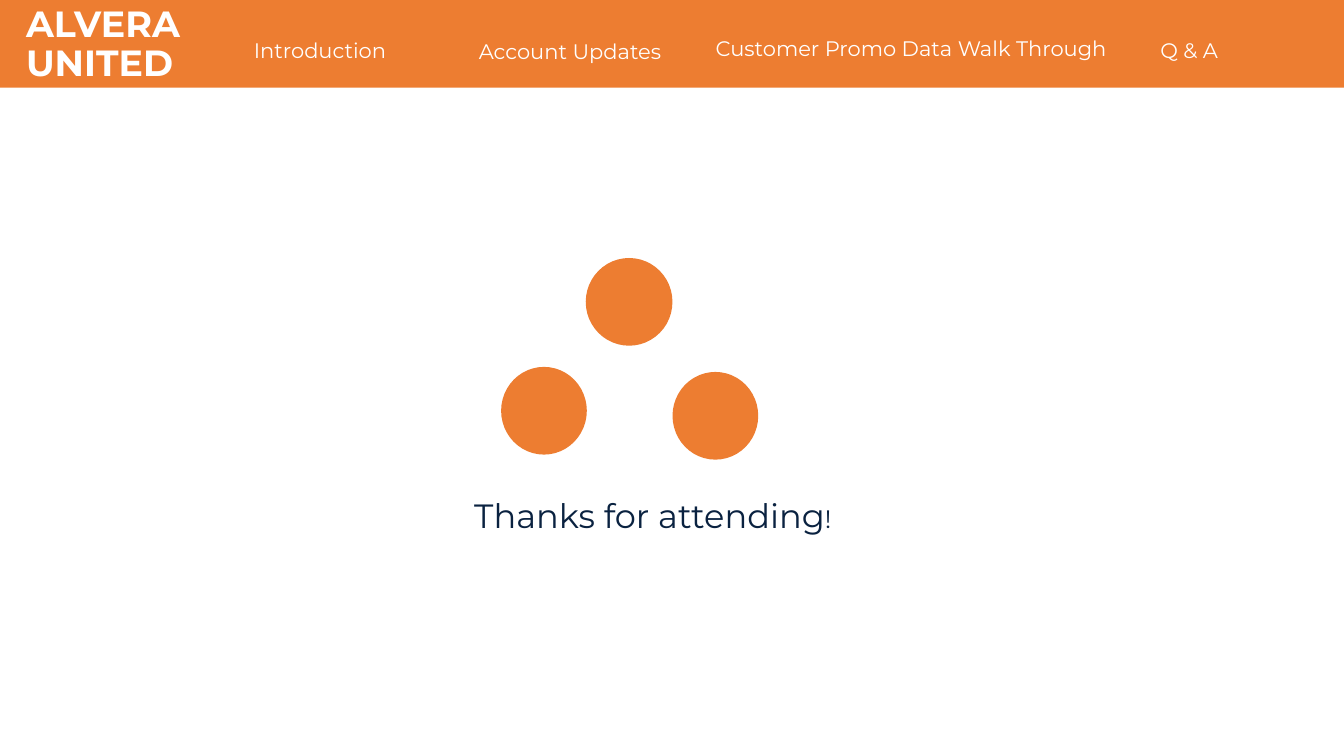
"""Build the closing slide with its navigation banner."""
from dataclasses import dataclass

from pptx import Presentation
from pptx.dml.color import RGBColor
from pptx.enum.shapes import MSO_SHAPE
from pptx.enum.text import PP_ALIGN
from pptx.slide import Slide
from pptx.text.text import _Paragraph
from pptx.util import Inches, Pt


@dataclass(frozen=True)
class Theme:
    """Colours, font and type sizes of the slide."""
    orange: RGBColor = RGBColor(0xED, 0x7D, 0x31)
    white: RGBColor = RGBColor(0xFF, 0xFF, 0xFF)
    navy: RGBColor = RGBColor(0x0A, 0x22, 0x40)
    font: str = "Montserrat"
    nav: Pt = Pt(15)
    brand: Pt = Pt(26)
    thanks: Pt = Pt(24)
    mark: Pt = Pt(18)


@dataclass(frozen=True)
class Box:
    """Position and size in inches."""
    left: float
    top: float
    width: float
    height: float

    def emu(self) -> tuple[Inches, ...]:
        """Return the four lengths as Inches."""
        return tuple(Inches(v) for v in (self.left, self.top, self.width, self.height))


@dataclass(frozen=True)
class NavItem:
    """A label in the banner."""
    text: str
    box: Box


THEME = Theme()
BANNER = Box(0, 0, 13.33, 0.87)
NAV = (
    NavItem("Introduction", Box(2.42, 0.32, 2.05, 0.35)),
    NavItem("Account Updates", Box(4.65, 0.33, 2.35, 0.35)),
    NavItem("Customer Promo Data Walk Through", Box(7, 0.3, 4.23, 0.35)),
    NavItem("Q & A", Box(11.41, 0.32, 1.21, 0.35)),
)
DOTS = (
    Box(5.81, 2.56, 0.86, 0.87),
    Box(4.97, 3.64, 0.85, 0.87),
    Box(6.67, 3.69, 0.85, 0.87),
)


def add_solid(s: Slide, kind: MSO_SHAPE, box: Box) -> None:
    """Draw a plain orange shape."""
    sp = s.shapes.add_shape(kind, *box.emu())
    sp.shadow.inherit = False
    sp.fill.solid()
    sp.fill.fore_color.rgb = THEME.orange
    sp.line.fill.background()


def add_text(s: Slide, text: str, box: Box, size: Pt, color: RGBColor,
             bold: bool = False) -> _Paragraph:
    """Draw a wrapped one-paragraph text box and return its paragraph."""
    tf = s.shapes.add_textbox(*box.emu()).text_frame
    tf.word_wrap = True
    p = tf.paragraphs[0]
    p.font.name = THEME.font
    p.font.size = size
    p.font.bold = bold
    p.font.color.rgb = color
    p.add_run().text = text
    return p


def main() -> None:
    """Build and save the presentation."""
    prs = Presentation()
    prs.slide_width, prs.slide_height = Inches(13.33), Inches(7.5)
    s = prs.slides.add_slide(prs.slide_layouts[6])

    add_solid(s, MSO_SHAPE.RECTANGLE, BANNER)
    for item in NAV:
        add_text(s, item.text, item.box, THEME.nav, THEME.white)
    for dot in DOTS:
        add_solid(s, MSO_SHAPE.FLOWCHART_CONNECTOR, dot)

    p = add_text(s, "ALVERA UNITED", Box(0.16, 0.01, 2.35, 0.58),
                 THEME.brand, THEME.white, bold=True)
    p.line_spacing = 0.9

    p = add_text(s, "Thanks for attending", Box(3.83, 4.86, 5.29, 0.81),
                 THEME.thanks, THEME.navy)
    p.alignment = PP_ALIGN.CENTER
    r = p.add_run()
    r.text = "!"
    r.font.size = THEME.mark

    prs.save("out.pptx")


main()
